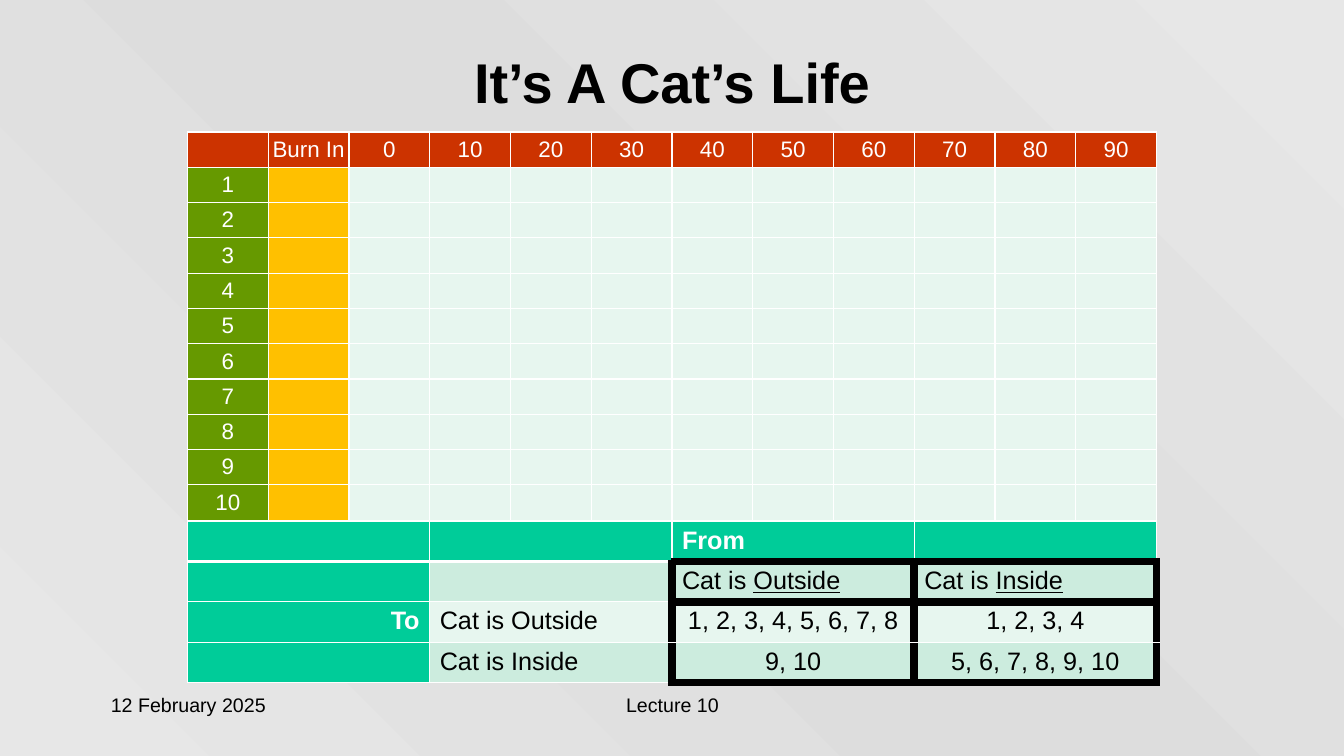
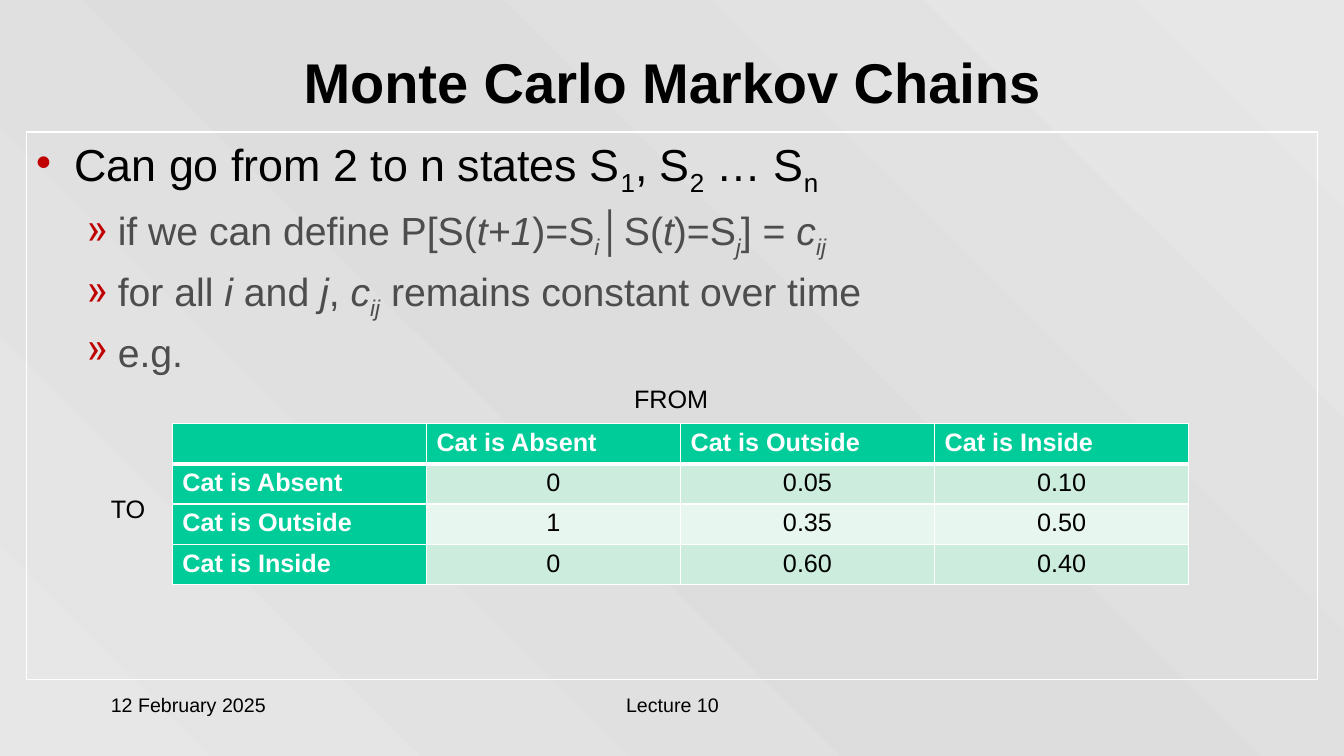
from lxml import etree
from pptx import Presentation
from pptx.dml.color import RGBColor
from pptx.enum.shapes import MSO_SHAPE
from pptx.enum.text import MSO_ANCHOR, PP_ALIGN
from pptx.oxml.ns import qn
from pptx.util import Inches, Pt

LEFT, CENTER, RIGHT = PP_ALIGN.LEFT, PP_ALIGN.CENTER, PP_ALIGN.RIGHT
TOP, MIDDLE = MSO_ANCHOR.TOP, MSO_ANCHOR.MIDDLE
RECTANGLE = MSO_SHAPE.RECTANGLE

FONT = "Arial"
COLORS = {
    "black": "000000",
    "white": "FFFFFF",
    "gray": "4D4D4D",
    "edge": "E7E7E7",
    "middle": "DDDDDD",
    "red": "CC3300",
    "bullet": "C00000",
    "green": "669900",
    "amber": "FFC000",
    "teal": "00CC99",
    "mint": "CCECDE",
    "pale": "E7F6EF",
}
# Each side: row step, column step and opposite side
SIDES = {"L": (0, -1, "R"), "R": (0, 1, "L"), "T": (-1, 0, "B"), "B": (1, 0, "T")}


def rgb(name):
    return RGBColor.from_string(COLORS[name])


def add_color(parent, name):
    etree.SubElement(parent, qn("a:srgbClr"), val=COLORS[name])


class Deck:
    def __init__(self):
        self.presentation = Presentation()
        self.presentation.slide_width = Inches(13.33)
        self.presentation.slide_height = Inches(7.5)
        self.slide = None

    def new_slide(self, title):
        """Start a slide with background, title and footers."""
        self.slide = self.presentation.slides.add_slide(self.presentation.slide_layouts[6])
        fill = self.slide.background.fill
        fill.gradient()
        fill.gradient_angle = 45
        stops = self.slide.element.find(".//" + qn("a:gsLst"))
        for stop in list(stops):
            stops.remove(stop)
        for position, name in ((0, "edge"), (50000, "middle"), (100000, "edge")):
            add_color(etree.SubElement(stops, qn("a:gs"), pos=str(position)), name)
        self.text(title, 0.26, 0.3, 12.81, 1.01, 40, CENTER, MIDDLE, bold=True)
        self.text("12 February 2025", 1, 6.83, 2.78, 0.5, 14)
        self.text("Lecture 10", 4.56, 6.83, 4.22, 0.5, 14, CENTER)

    def fill_paragraph(self, paragraph, content, size, color="black", align=LEFT, bold=False):
        """Content is a string or (text, marks): i italic, u underline, s subscript."""
        paragraph.alignment = align
        font = paragraph.font
        font.name, font.size, font.bold = FONT, Pt(size), bold
        font.color.rgb = rgb(color)
        runs = [(content, "")] if isinstance(content, str) else content
        for text, marks in runs:
            if not text:
                continue
            run = paragraph.add_run()
            run.text = text
            if "i" in marks:
                run.font.italic = True
            if "u" in marks:
                run.font.underline = True
            if "s" in marks:
                run._r.get_or_add_rPr().set("baseline", "-25000")

    def text(self, content, left, top, width, height, size, align=LEFT, anchor=TOP, bold=False):
        box = self.slide.shapes.add_textbox(
            Inches(left), Inches(top), Inches(width), Inches(height))
        frame = box.text_frame
        frame.word_wrap = True
        frame.vertical_anchor = anchor
        self.fill_paragraph(frame.paragraphs[0], content, size, align=align, bold=bold)

    def body(self, left, top, width, height, items):
        """Outlined box of bulleted (level, content) items."""
        shape = self.slide.shapes.add_shape(
            RECTANGLE, Inches(left), Inches(top), Inches(width), Inches(height))
        shape.shadow.inherit = False
        shape.fill.background()
        shape.line.color.rgb = rgb("white")
        shape.line.width = Pt(0.75)
        frame = shape.text_frame
        frame.word_wrap = True
        frame.vertical_anchor = TOP
        styles = (("•", 0.38, 0.38, 32, "black"), ("»", 0.81, 0.31, 28, "gray"))
        for index, (level, content) in enumerate(items):
            bullet, margin, hanging, size, color = styles[level]
            paragraph = frame.add_paragraph() if index else frame.paragraphs[0]
            paragraph.level = level
            properties = paragraph._p.get_or_add_pPr()
            properties.set("marL", str(Inches(margin)))
            properties.set("indent", str(-Inches(hanging)))
            add_color(etree.SubElement(properties, qn("a:buClr")), "bullet")
            etree.SubElement(properties, qn("a:buChar"), char=bullet)
            if index:
                paragraph.space_before = Pt(size * 0.2)
            self.fill_paragraph(paragraph, content, size, color)

    def table(self, left, top, width, row_height, rows, style, size, inset=None, anchor=TOP):
        """Even grid; style(row, column) gives fill, text colour, alignment and bold."""
        count = len(rows[0])
        frame = self.slide.shapes.add_table(
            len(rows), count, Inches(left), Inches(top),
            Inches(width), Inches(row_height * len(rows)))
        table = frame.table
        table.first_row = table.horz_banding = False
        for column in table.columns:
            column.width = Inches(width / count)
        for row_index, row in enumerate(rows):
            table.rows[row_index].height = Inches(row_height)
            for column_index, content in enumerate(row):
                cell = table.cell(row_index, column_index)
                fill, color, align, bold = style(row_index, column_index)
                cell.fill.solid()
                cell.fill.fore_color.rgb = rgb(fill)
                cell.vertical_anchor = anchor
                if inset is not None:
                    cell.margin_left = cell.margin_right = Inches(inset)
                    cell.margin_top = cell.margin_bottom = Inches(inset)
                self.fill_paragraph(
                    cell.text_frame.paragraphs[0], content, size, color, align, bold)
                for side in SIDES:
                    self.border(cell, side, "white", 1)
        return table

    def border(self, cell, side, color, width):
        properties = cell._tc.get_or_add_tcPr()
        tag = qn("a:ln" + side)
        line = properties.find(tag)
        if line is None:
            line = etree.Element(tag)
            properties.insert(list(SIDES).index(side), line)
        for child in list(line):
            line.remove(child)
        line.set("w", str(Pt(width)))
        add_color(etree.SubElement(line, qn("a:solidFill")), color)

    def edges(self, table, row, column, sides, color, width):
        """Draw sides of a cell, and the same edges of its neighbours."""
        for side in sides:
            row_step, column_step, opposite = SIDES[side]
            self.border(table.cell(row, column), side, color, width)
            next_row, next_column = row + row_step, column + column_step
            if 0 <= next_row < len(table.rows) and 0 <= next_column < len(table.columns):
                self.border(table.cell(next_row, next_column), opposite, color, width)

    def matrix(self, left, top, width, rows, align):
        """Transition table: teal headings, banded body, thick rule under the heading."""
        def style(row, column):
            if row == 0 or column == 0:
                return "teal", "white", align(row, column), True
            return ("mint" if row % 2 else "pale"), "black", align(row, column), False

        table = self.table(left, top, width, 0.38, rows, style, 18)
        for column in range(len(rows[0])):
            self.edges(table, 0, column, "B", "white", 3)
        return table


def grid_style(row, column):
    if row == 0:
        return "red", "white", CENTER, False
    return {0: "green", 1: "amber"}.get(column, "pale"), "white", CENTER, False


def life_align(row, column):
    if column == 0:
        return RIGHT
    return CENTER if row > 1 and column > 1 else LEFT


def chain_align(row, column):
    return CENTER if row and column else LEFT


def life_slide(deck):
    deck.new_slide("It’s A Cat’s Life")

    # Simulation grid
    heading = ["", "Burn In"] + [str(step) for step in range(0, 100, 10)]
    trials = [[str(trial)] + [""] * 11 for trial in range(1, 11)]
    deck.table(1.86, 1.31, 9.61, 0.35, [heading] + trials, grid_style, 16, 0.01, MIDDLE)

    # Draws that lead to each state
    table = deck.matrix(1.86, 5.17, 9.61, [
        ["", "", "From", ""],
        ["", "", [("Cat is ", ""), ("Outside", "u")], [("Cat is ", ""), ("Inside", "u")]],
        ["To", "Cat is Outside", "1, 2, 3, 4, 5, 6, 7, 8", "1, 2, 3, 4"],
        ["", "Cat is Inside", "9, 10", "5, 6, 7, 8, 9, 10"],
    ], life_align)
    for row, sides in ((1, "LRTB"), (2, "LR"), (3, "LRB")):
        for column in (2, 3):
            deck.edges(table, row, column, sides, "black", 6)


def chain_slide(deck):
    deck.new_slide("Monte Carlo Markov Chains")

    # Definition
    deck.body(0.26, 1.31, 12.81, 5.43, [
        (0, [("Can go from 2 to n states S", ""), ("1", "s"), (", S", ""), ("2", "s"),
             (" … S", ""), ("n", "s")]),
        (1, [("if we can define P[S(", ""), ("t+1", "i"), (")=S", ""), ("i", "is"),
             ("│S(", ""), ("t", "i"), (")=S", ""), ("j", "is"), ("] = ", ""),
             ("c", "i"), ("ij", "is")]),
        (1, [("for all ", ""), ("i", "i"), (" and ", ""), ("j", "i"), (", ", ""),
             ("c", "i"), ("ij", "is"), (" remains constant over time", "")]),
        (1, "e.g."),
    ])

    # Transition probabilities
    states = ["Cat is Absent", "Cat is Outside", "Cat is Inside"]
    chances = [["0", "0.05", "0.10"], ["1", "0.35", "0.50"], ["0", "0.60", "0.40"]]
    rows = [[""] + states] + [[state] + row for state, row in zip(states, chances)]
    deck.matrix(1.71, 4.2, 10.08, rows, chain_align)
    deck.text("FROM", 6.19, 3.75, 1.81, 0.4, 18)
    deck.text("TO", 1, 4.84, 1.81, 0.4, 18)


def main():
    deck = Deck()
    life_slide(deck)
    chain_slide(deck)
    deck.presentation.save("out.pptx")


if __name__ == "__main__":
    main()
